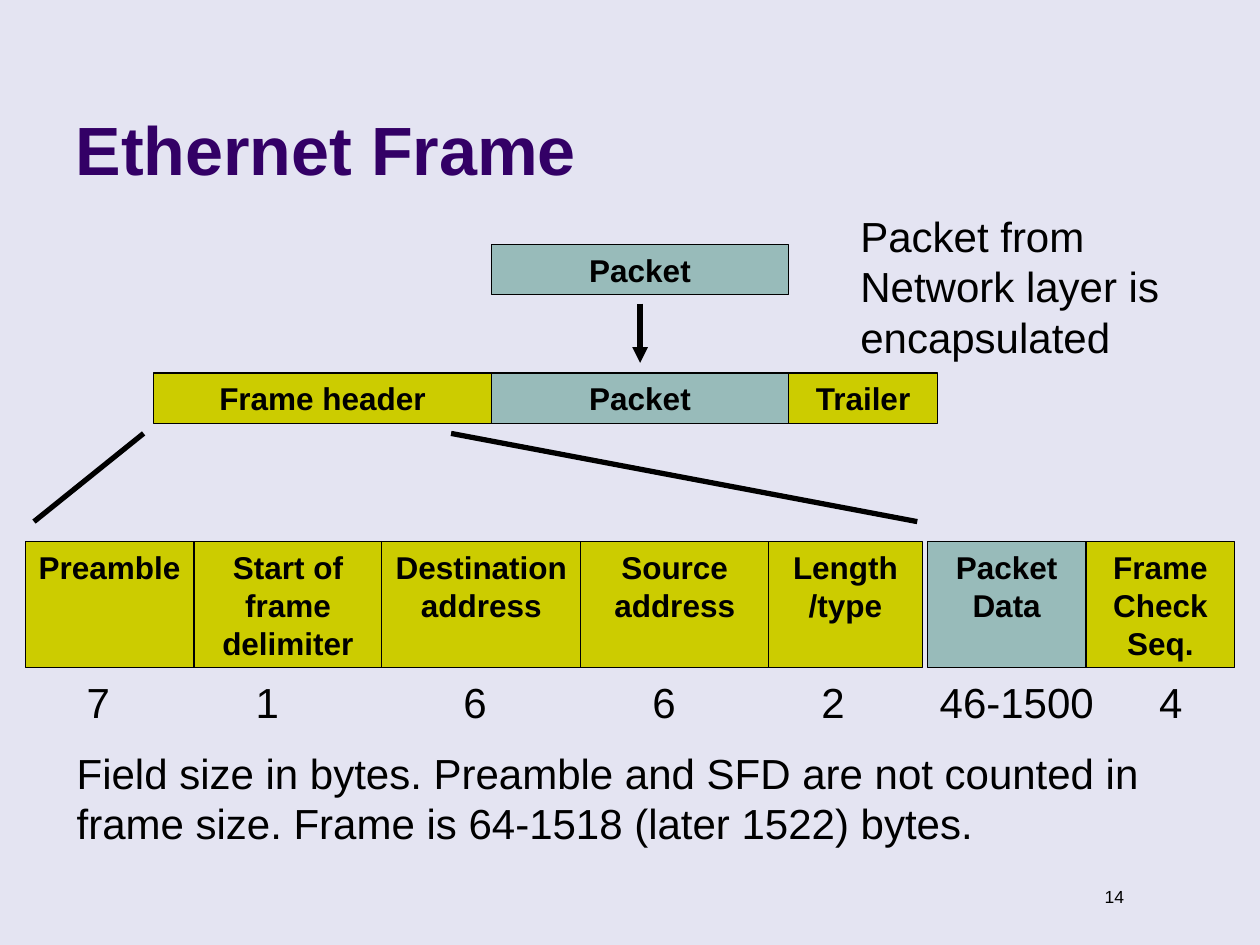
from lxml import etree
from pptx import Presentation
from pptx import util as u
from pptx.dml.color import RGBColor
from pptx.enum import shapes, text
from pptx.oxml.ns import qn

WIDTH, HEIGHT = 10, 7.5
FONT = "Arial"
COLORS = {
    "background": "E4E4F2",
    "title": "330066",
    "ink": "000000",
    "frame": "CCCC00",
    "packet": "98BBBA",
}

TITLE = "Ethernet Frame"
PACKET_NOTE = "Packet from Network layer is encapsulated"
SIZE_NOTE = ("Field size in bytes. Preamble and SFD are not counted in "
             "frame size. Frame is 64-1518 (later 1522) bytes.")
SLIDE_NUMBER = "14"

# Each row: left, top, height, then its cells (label, width, colour)
ROWS = [
    (3.9, 1.94, 0.4, [("Packet", 2.36, "packet")]),
    (1.22, 2.96, 0.4, [("Frame header", 2.68, "frame"),
                       ("Packet", 2.36, "packet"),
                       ("Trailer", 1.18, "frame")]),
    (0.2, 4.3, 1, [("Preamble", 1.34, "frame"),
                   ("Start of frame delimiter", 1.49, "frame"),
                   ("Destination address", 1.58, "frame"),
                   ("Source\naddress", 1.49, "frame"),
                   ("Length\n/type", 1.22, "frame")]),
    (7.36, 4.3, 1, [("Packet\nData", 1.26, "packet"),
                    ("Frame\nCheck\nSeq.", 1.18, "frame")]),
]

# Bytes in each field: value, left, width
FIELD_SIZES = [("7", 0.59, 0.63), ("1", 1.93, 0.63), ("6", 3.58, 0.63),
               ("6", 5.08, 0.63), ("2", 6.42, 0.63),
               ("46-1500", 7.36, 1.57), ("4", 9.1, 0.55)]
FIELD_SIZES_TOP = 5.32

# Start point, end point, whether the end has an arrowhead
LINES = [
    ((5.08, 2.41), (5.08, 2.88), True),
    ((1.14, 3.44), (0.27, 4.14), False),
    ((3.58, 3.44), (7.28, 4.14), False),
]


def rgb(name):
    return RGBColor.from_string(COLORS[name])


def write(shape, content, size=24, color="ink", bold=False,
          align=text.PP_ALIGN.LEFT, anchor=text.MSO_ANCHOR.TOP):
    frame = shape.text_frame
    frame.word_wrap = True
    frame.auto_size = text.MSO_AUTO_SIZE.NONE
    frame.vertical_anchor = anchor
    paragraph = frame.paragraphs[0]
    paragraph.text = content
    paragraph.alignment = align
    for run in paragraph.runs:
        run.font.name = FONT
        run.font.size = u.Pt(size)
        run.font.bold = bold
        run.font.color.rgb = rgb(color)


def add_label(slide, content, left, top, width, height, **text_format):
    box = slide.shapes.add_textbox(*map(u.Inches, (left, top, width, height)))
    write(box, content, **text_format)


def add_cell(slide, label, left, top, width, height, color):
    cell = slide.shapes.add_shape(shapes.MSO_SHAPE.RECTANGLE,
                                  *map(u.Inches, (left, top, width, height)))
    cell.shadow.inherit = False
    cell.fill.solid()
    cell.fill.fore_color.rgb = rgb(color)
    cell.line.color.rgb = rgb("ink")
    cell.line.width = u.Pt(0.75)
    write(cell, label, size=18, bold=True, align=text.PP_ALIGN.CENTER)


def add_line(slide, start, end, arrow):
    line = slide.shapes.add_connector(shapes.MSO_CONNECTOR.STRAIGHT,
                                      *map(u.Inches, start + end))
    line.line.color.rgb = rgb("ink")
    line.line.width = u.Pt(3)
    if arrow:
        etree.SubElement(line.line._get_or_add_ln(), qn("a:tailEnd"),
                         type="triangle")
    etree.SubElement(line._element.spPr, qn("a:effectLst"))


def main():
    presentation = Presentation()
    presentation.slide_width = u.Inches(WIDTH)
    presentation.slide_height = u.Inches(HEIGHT)
    slide = presentation.slides.add_slide(presentation.slide_layouts[5])
    slide.background.fill.solid()
    slide.background.fill.fore_color.rgb = rgb("background")

    title = slide.shapes.title
    title.left, title.top, title.width, title.height = map(
        u.Inches, (0.5, 0.13, 8.25, 1.42))
    write(title, TITLE, size=39, color="title", bold=True,
          anchor=text.MSO_ANCHOR.BOTTOM)

    for left, top, height, cells in ROWS:
        for label, width, color in cells:
            add_cell(slide, label, left, top, width, height, color)
            left += width
    for line in LINES:
        add_line(slide, *line)
    for value, left, width in FIELD_SIZES:
        add_label(slide, value, left, FIELD_SIZES_TOP, width, 0.5)

    add_label(slide, PACKET_NOTE, 6.73, 1.62, 2.91, 1.3)
    add_label(slide, SIZE_NOTE, 0.51, 5.88, 8.98, 0.9)
    add_label(slide, SLIDE_NUMBER, 8.39, 6.98, 0.63, 0.27, size=10,
              align=text.PP_ALIGN.RIGHT)
    presentation.save("out.pptx")


if __name__ == "__main__":
    main()
